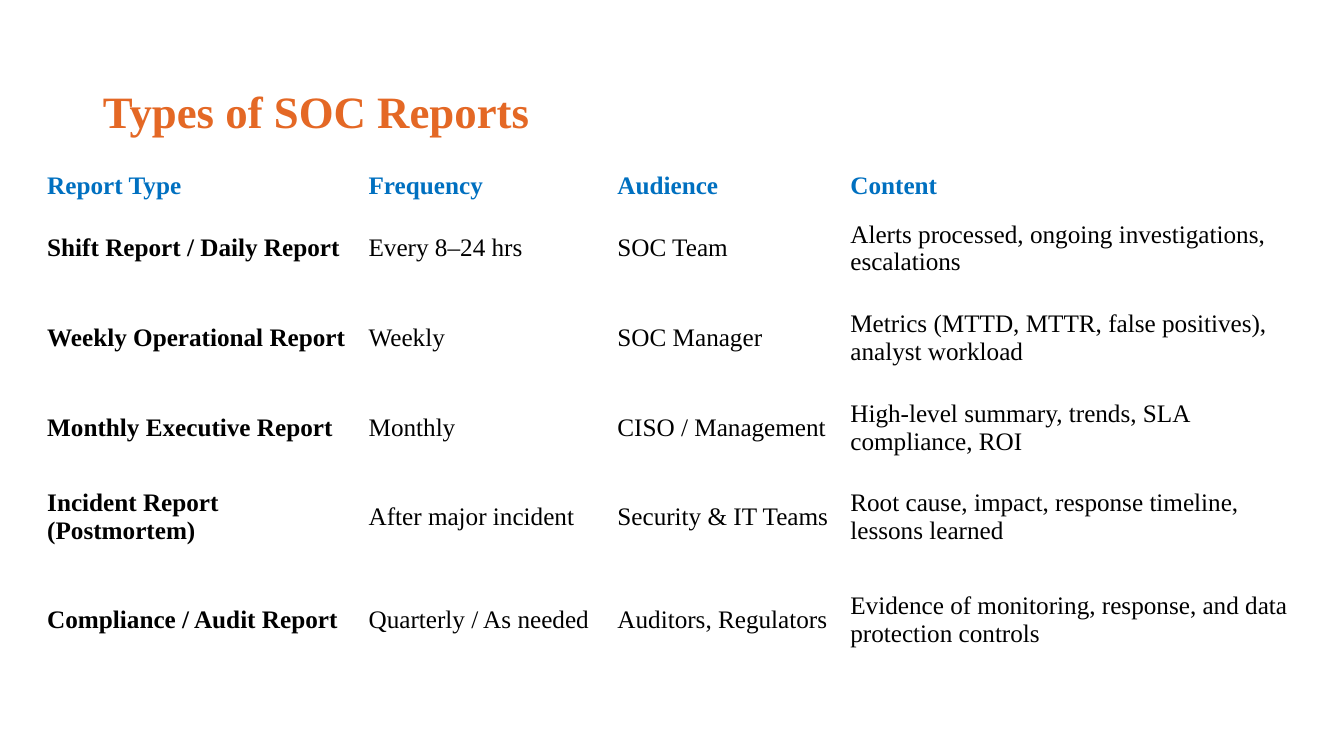
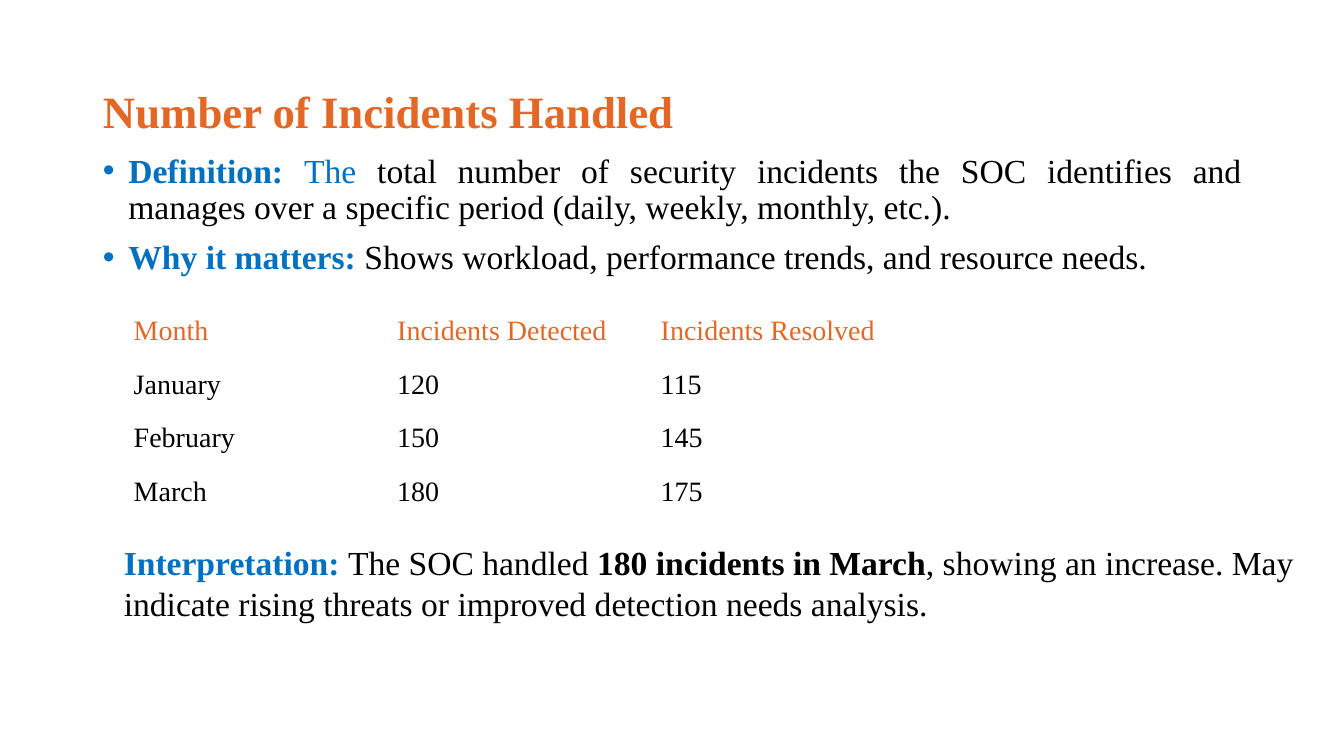
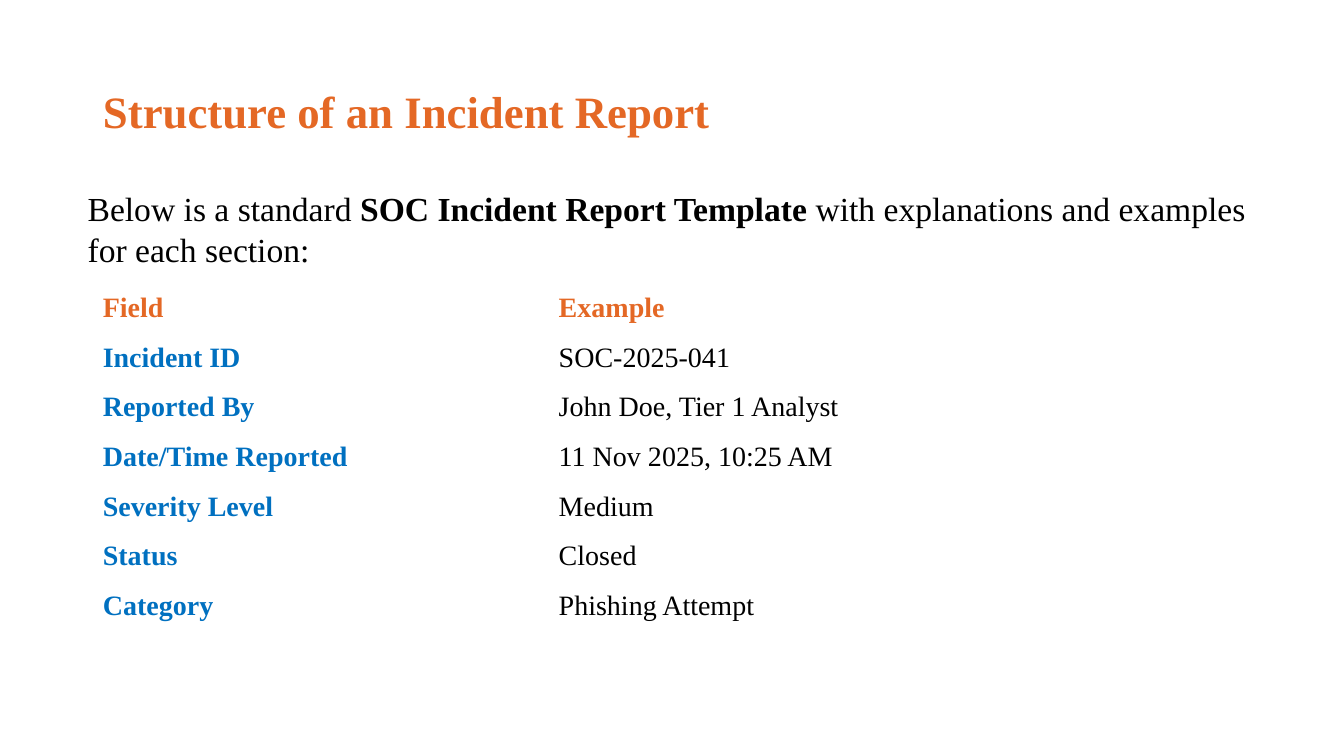
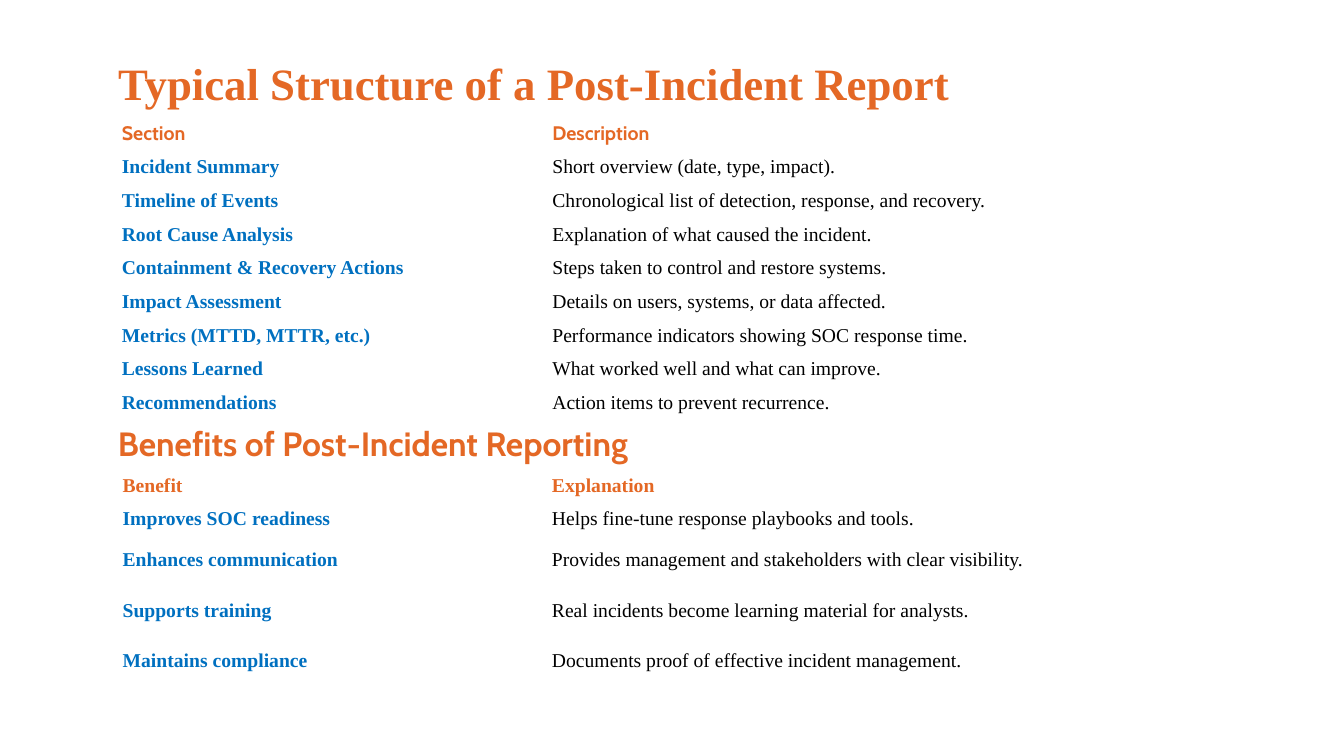
"""Build four slides on SOC reports and incident reporting."""
from pptx import Presentation
from pptx.dml.color import RGBColor
from pptx.enum.text import MSO_ANCHOR, MSO_AUTO_SIZE, PP_ALIGN
from pptx.util import Cm, Pt

ORANGE = RGBColor(0xE4, 0x68, 0x25)
BLUE = RGBColor(0x00, 0x70, 0xC0)
BLACK = RGBColor(0x00, 0x00, 0x00)
SERIF = "Times New Roman"
SANS = "Cabin"


def write(para, text, size=24, color=BLACK, bold=False, font=SERIF):
    run = para.add_run()
    run.text = text
    run.font.size = Pt(size)
    run.font.name = font
    run.font.bold = bold
    run.font.color.rgb = color


def grid(slide, left, top, cols, rows, data, head, side, body, pad=(0.25, 0.13)):
    """Add a plain table; head, side and body hold text formats."""
    table = slide.shapes.add_table(
        len(rows), len(cols), Cm(left), Cm(top), Cm(sum(cols)), Cm(sum(rows))).table
    table.first_row = table.horz_banding = False
    for col, width in zip(table.columns, cols):
        col.width = Cm(width)
    for row, height in zip(table.rows, rows):
        row.height = Cm(height)
    for r, line in enumerate(data):
        for c, text in enumerate(line):
            cell = table.cell(r, c)
            cell.fill.background()
            cell.vertical_anchor = MSO_ANCHOR.MIDDLE
            cell.margin_left = cell.margin_right = Cm(pad[0])
            cell.margin_top = cell.margin_bottom = Cm(pad[1])
            look = head if r == 0 else side if c == 0 else body
            write(cell.text_frame.paragraphs[0], text, **look)


deck = Presentation()
deck.slide_width, deck.slide_height = Cm(33.87), Cm(19.05)
ONLY, BODY = deck.slide_layouts[5], deck.slide_layouts[1]

slides = []
for text, plan, left, top in (
    ("Types of SOC Reports", ONLY, 2.34, 1.02),
    ("Number of Incidents Handled", BODY, 2.34, 1.02),
    ("Structure of an Incident Report", ONLY, 2.34, 1.02),
    ("Typical Structure of a Post-Incident Report", ONLY, 2.72, 0.33),
):
    slide = deck.slides.add_slide(plan)
    title = slide.shapes.title
    title.left, title.top, title.width, title.height = Cm(left), Cm(top), Cm(29.21), Cm(3.68)
    frame = title.text_frame
    frame.auto_size = MSO_AUTO_SIZE.NONE
    frame.vertical_anchor = MSO_ANCHOR.MIDDLE
    para = frame.paragraphs[0]
    para.alignment = PP_ALIGN.LEFT
    para.line_spacing = 0.9
    write(para, text, size=32, color=ORANGE, bold=True)
    slides.append(slide)
types, count, form, post = slides

grid(types, 0.99, 4.22, [8.1, 6.27, 5.87, 12.14], [0.91] + [2.26] * 4 + [2.92], [
    ("Report Type", "Frequency", "Audience", "Content"),
    ("Shift Report / Daily Report", "Every 8–24 hrs", "SOC Team",
     "Alerts processed, ongoing investigations, escalations"),
    ("Weekly Operational Report", "Weekly", "SOC Manager",
     "Metrics (MTTD, MTTR, false positives), analyst workload"),
    ("Monthly Executive Report", "Monthly", "CISO / Management",
     "High-level summary, trends, SLA compliance, ROI"),
    ("Incident Report (Postmortem)", "After major incident", "Security & IT Teams",
     "Root cause, impact, response timeline, lessons learned"),
    ("Compliance / Audit Report", "Quarterly / As needed", "Auditors, Regulators",
     "Evidence of monitoring, response, and data protection controls"),
], head=dict(size=18, color=BLUE, bold=True), side=dict(size=18, bold=True),
    body=dict(size=18), pad=(0.2, 0.1))

list_box = count.placeholders[1]
list_box.left, list_box.top = Cm(2.34), Cm(3.76)
list_box.width, list_box.height = Cm(29.21), Cm(12.09)
frame = list_box.text_frame
frame.auto_size = MSO_AUTO_SIZE.NONE
for i, runs in enumerate((
    (("Definition: ", BLUE, True), ("The ", BLUE, False),
     ("total number of security incidents the SOC identifies and manages over a "
      "specific period (daily, weekly, monthly, etc.).", BLACK, False)),
    (("Why it matters: ", BLUE, True),
     ("Shows workload, performance trends, and resource needs.", BLACK, False)),
)):
    para = frame.add_paragraph() if i else frame.paragraphs[0]
    props = para._p.get_or_add_pPr()
    props.set("marL", str(Cm(0.64)))
    props.set("indent", str(-Cm(0.64)))
    para.alignment = PP_ALIGN.JUSTIFY
    para.line_spacing = 0.9
    para.space_before = Pt(10 if i else 0)
    for text, color, bold in runs:
        write(para, text, color=color, bold=bold)

plain = dict(size=20)
grid(count, 3.12, 7.67, [6.64] * 3, [1.35] * 4, [
    ("Month", "Incidents Detected", "Incidents Resolved"),
    ("January", "120", "115"),
    ("February", "150", "145"),
    ("March", "180", "175"),
], head=dict(size=20, color=ORANGE), side=plain, body=plain)

grid(form, 2.34, 7.14, [11.49] * 2, [1.25] * 7, [
    ("Field", "Example"),
    ("Incident ID", "SOC-2025-041"),
    ("Reported By", "John Doe, Tier 1 Analyst"),
    ("Date/Time Reported", "11 Nov 2025, 10:25 AM"),
    ("Severity Level", "Medium"),
    ("Status", "Closed"),
    ("Category", "Phishing Attempt"),
], head=dict(size=20, color=ORANGE, bold=True),
    side=dict(size=20, color=BLUE, bold=True), body=plain)

small = dict(side=dict(size=14, color=BLUE, bold=True), body=dict(size=14))
grid(post, 2.82, 2.92, [10.85, 17.7], [0.85] * 9, [
    ("Section", "Description"),
    ("Incident Summary", "Short overview (date, type, impact)."),
    ("Timeline of Events", "Chronological list of detection, response, and recovery."),
    ("Root Cause Analysis", "Explanation of what caused the incident."),
    ("Containment & Recovery Actions", "Steps taken to control and restore systems."),
    ("Impact Assessment", "Details on users, systems, or data affected."),
    ("Metrics (MTTD, MTTR, etc.)", "Performance indicators showing SOC response time."),
    ("Lessons Learned", "What worked well and what can improve."),
    ("Recommendations", "Action items to prevent recurrence."),
], head=dict(size=14, color=ORANGE, bold=True, font=SANS), **small)

grid(post, 2.84, 11.84, [10.82, 18.26], [0.82] * 2 + [1.27] * 3, [
    ("Benefit", "Explanation"),
    ("Improves SOC readiness", "Helps fine-tune response playbooks and tools."),
    ("Enhances communication", "Provides management and stakeholders with clear visibility."),
    ("Supports training", "Real incidents become learning material for analysts."),
    ("Maintains compliance", "Documents proof of effective incident management."),
], head=dict(size=14, color=ORANGE, bold=True), **small)

for slide, left, top, width, height, wrap, runs in (
    (count, 2.87, 13.54, 30.48, 2.31, True, (
        ("Interpretation: ", dict(color=BLUE, bold=True)),
        ("The SOC handled ", {}),
        ("180 incidents in March", dict(bold=True)),
        (", showing an increase. May indicate rising threats or improved "
         "detection needs analysis.", {}))),
    (form, 1.96, 4.62, 30.02, 2.31, True, (
        ("Below is a standard ", {}),
        ("SOC Incident Report Template", dict(bold=True)),
        (" with explanations and examples for each section:", {}))),
    (post, 2.72, 10.54, 14.48, 1.27, False, (
        ("Benefits of Post-Incident Reporting",
         dict(color=ORANGE, bold=True, font=SANS)),)),
):
    frame = slide.shapes.add_textbox(Cm(left), Cm(top), Cm(width), Cm(height)).text_frame
    frame.word_wrap = wrap
    for text, look in runs:
        write(frame.paragraphs[0], text, **look)

deck.save("out.pptx")
